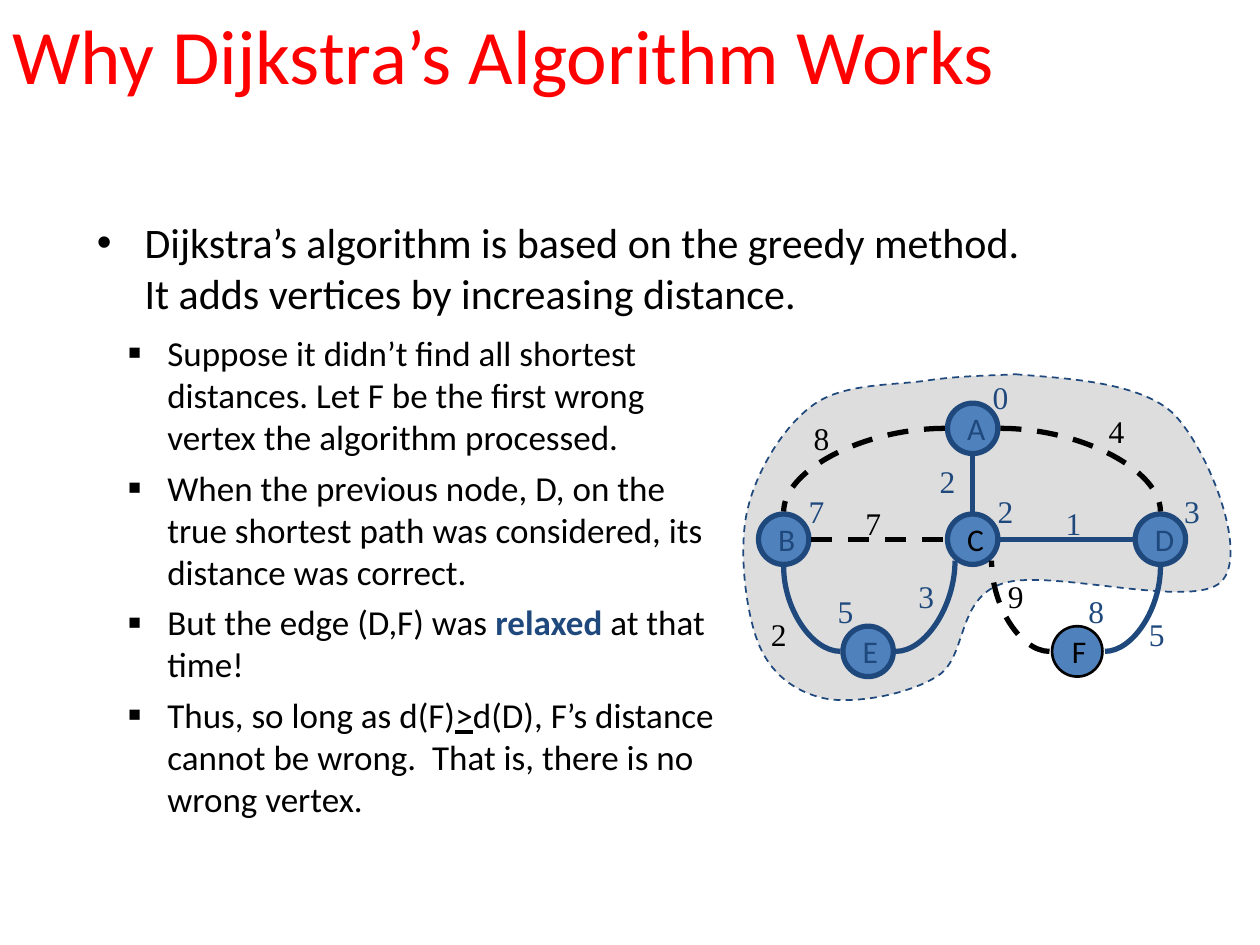
from typing import NamedTuple

import lxml.etree
import pptx
import pptx.dml.color
import pptx.enum.dml
import pptx.enum.shapes
import pptx.enum.text
import pptx.oxml
import pptx.oxml.ns
import pptx.util

Inches = pptx.util.Inches
Pt = pptx.util.Pt
qn = pptx.oxml.ns.qn

COLORS = {"title": "FF0000", "black": "000000", "navy": "1F497D",
          "node": "4F81BD", "cloud": "DDDDDD"}
NODE_SIZE = 0.4
# Offsets from a node's centre to the points where edges attach
PORTS = {"N": (0, -0.22), "S": (0, 0.22), "E": (0.22, 0), "W": (-0.22, 0),
         "SE": (0.15, 0.17), "SW": (-0.14, 0.17)}


class Node(NamedTuple):
    x: float
    y: float
    text_color: str = "navy"
    line_color: str = "navy"
    line_width: float = 3


class Edge(NamedTuple):
    start: str
    start_port: str
    end: str
    end_port: str
    dashed: bool = False
    curved: bool = True


class Label(NamedTuple):
    text: str
    left: float
    top: float
    color: str = "navy"


NODES = {
    "A": Node(7.72, 3.4),
    "B": Node(6.22, 4.28),
    "C": Node(7.72, 4.28, text_color="black"),
    "D": Node(9.21, 4.28),
    "E": Node(6.89, 5.17),
    "F": Node(8.55, 5.17, "black", "black", 1.5),
}
# Curved edges leave their start horizontally and reach their end vertically
EDGES = [
    Edge("A", "W", "B", "N", dashed=True),
    Edge("A", "E", "D", "N", dashed=True),
    Edge("E", "W", "B", "S"),
    Edge("E", "E", "C", "SW"),
    Edge("F", "E", "D", "S"),
    Edge("F", "W", "C", "SE", dashed=True),
    Edge("A", "S", "C", "N", curved=False),
    Edge("B", "E", "C", "W", dashed=True, curved=False),
    Edge("C", "E", "D", "W", curved=False),
]
DISTANCES = [
    Label("0", 7.78, 2.95), Label("7", 6.32, 3.86), Label("2", 7.82, 3.86),
    Label("3", 9.3, 3.86), Label("5", 6.55, 4.65), Label("8", 8.54, 4.65),
]
WEIGHTS = [
    Label("8", 6.36, 3.28, "black"), Label("4", 8.7, 3.22, "black"),
    Label("2", 7.36, 3.62), Label("7", 6.77, 3.95, "black"),
    Label("1", 8.36, 3.95), Label("2", 6.02, 4.83, "black"),
    Label("3", 7.19, 4.53), Label("9", 7.9, 4.53, "black"),
    Label("5", 9.02, 4.83),
]
# Start point, then two control points and an end point per curve
CLOUD = [
    (8.06, 2.97),
    (8.39, 3), (9.05, 3.02), (9.32, 3.29),
    (9.59, 3.57), (9.92, 4.4), (9.69, 4.62),
    (9.46, 4.84), (8.33, 4.51), (7.96, 4.63),
    (7.59, 4.75), (7.68, 5.2), (7.45, 5.36),
    (7.22, 5.51), (6.82, 5.58), (6.58, 5.55),
    (6.35, 5.51), (6.14, 5.38), (6.03, 5.13),
    (5.92, 4.88), (5.86, 4.37), (5.93, 4.06),
    (6, 3.74), (6.22, 3.38), (6.46, 3.21),
    (6.7, 3.04), (7.09, 3.06), (7.36, 3.02),
    (7.62, 2.98), (7.92, 2.98), (8.06, 2.97),
]
REASONS = [
    [("Suppose it didn’t find all shortest distances. Let F be the first wrong "
      "vertex the algorithm processed.", {})],
    [("When the previous node, D, on the true shortest path was considered, "
      "its distance was correct.", {})],
    [("But the edge (D,F) was ", {}), ("relaxed", {"color": "navy", "bold": True}),
     (" at that time!", {})],
    [("Thus, so long as d(F)", {}), (">", {"underline": True}),
     ("d(D), F’s distance cannot be wrong.  That is, there is no wrong vertex.", {})],
]


def rgb(name: str) -> pptx.dml.color.RGBColor:
    return pptx.dml.color.RGBColor.from_string(COLORS[name])


def write(paragraph, text: str, *, size: float = 18, color: str = "black",
          font: str = "Calibri", bold: bool = False, underline: bool = False) -> None:
    run = paragraph.add_run()
    run.text = text
    run.font.name = font
    run.font.size = Pt(size)
    run.font.bold = bold
    run.font.underline = underline
    run.font.color.rgb = rgb(color)


def add_frame(slide, left: float, top: float, width: float, height: float,
              wrap: bool = True):
    box = slide.shapes.add_textbox(Inches(left), Inches(top),
                                   Inches(width), Inches(height))
    box.text_frame.word_wrap = wrap
    return box.text_frame


def set_bullet(paragraph, char: str, margin: float, hang: float,
               before: float, percent: int = 100) -> None:
    paragraph.space_before = Pt(before)
    properties = paragraph._p.get_or_add_pPr()
    properties.set("marL", str(Inches(margin)))
    properties.set("indent", str(-Inches(hang)))
    for tag, attribute, value in (("a:buSzPct", "val", str(percent * 1000)),
                                  ("a:buFont", "typeface", "Arial"),
                                  ("a:buChar", "char", char)):
        lxml.etree.SubElement(properties, qn(tag)).set(attribute, value)


def set_line(line, color: str, width: float, dashed: bool = False) -> None:
    line.color.rgb = rgb(color)
    line.width = Pt(width)
    if dashed:
        line.dash_style = pptx.enum.dml.MSO_LINE.DASH


def draw_cloud(slide) -> None:
    points = [(Inches(x), Inches(y)) for x, y in CLOUD]
    builder = slide.shapes.build_freeform(*points[0])
    builder.add_line_segments(points[1:], close=True)
    cloud = builder.convert_to_shape()
    cloud.shadow.inherit = False
    cloud.fill.solid()
    cloud.fill.fore_color.rgb = rgb("cloud")
    set_line(cloud.line, "navy", 1, dashed=True)
    # Turn every three segments into one Bézier curve
    segments = list(cloud._element.iter(qn("a:lnTo")))
    for first in range(0, len(segments), 3):
        curve = lxml.etree.Element(qn("a:cubicBezTo"))
        segments[first].addprevious(curve)
        for segment in segments[first:first + 3]:
            curve.append(segment[0])
            segment.getparent().remove(segment)


def draw_node(slide, name: str, node: Node) -> None:
    circle = slide.shapes.add_shape(
        pptx.enum.shapes.MSO_SHAPE.OVAL, Inches(node.x - NODE_SIZE / 2),
        Inches(node.y - NODE_SIZE / 2), Inches(NODE_SIZE), Inches(NODE_SIZE))
    circle.shadow.inherit = False
    circle.fill.solid()
    circle.fill.fore_color.rgb = rgb("node")
    set_line(circle.line, node.line_color, node.line_width)
    circle.text_frame.word_wrap = False
    caption = circle.text_frame.paragraphs[0]
    caption.alignment = pptx.enum.text.PP_ALIGN.LEFT
    write(caption, name, color=node.text_color)


def port_position(name: str, port: str) -> tuple[int, int]:
    dx, dy = PORTS[port]
    return Inches(NODES[name].x + dx), Inches(NODES[name].y + dy)


def draw_edge(slide, edge: Edge) -> None:
    kinds = pptx.enum.shapes.MSO_CONNECTOR
    link = slide.shapes.add_connector(
        kinds.CURVE if edge.curved else kinds.STRAIGHT,
        *port_position(edge.start, edge.start_port),
        *port_position(edge.end, edge.end_port))
    set_line(link.line, "black" if edge.dashed else "navy", 3, edge.dashed)
    properties = link._element.spPr
    lxml.etree.SubElement(properties, qn("a:effectLst"))
    if edge.curved:
        properties.find(qn("a:prstGeom")).set("prst", "curvedConnector2")


def draw_label(slide, label: Label) -> None:
    frame = add_frame(slide, label.left, label.top, 0.32, 0.4, wrap=False)
    write(frame.paragraphs[0], label.text, color=label.color, font="Times New Roman")


def main() -> None:
    deck = pptx.Presentation()
    deck.slide_width, deck.slide_height = Inches(10), Inches(7.5)
    slide = deck.slides.add_slide(deck.slide_layouts[6])

    # Title and main statement
    title = add_frame(slide, 0, -0.2, 9, 1.25)
    title.vertical_anchor = pptx.enum.text.MSO_ANCHOR.MIDDLE
    write(title.paragraphs[0], "Why Dijkstra’s Algorithm Works", size=44, color="title")
    statement = add_frame(slide, 0.67, 1.67, 7.67, 1.29).paragraphs[0]
    set_bullet(statement, "•", 0.38, 0.38, before=6)
    write(statement, "Dijkstra’s algorithm is based on the greedy method. "
                     "It adds vertices by increasing distance.", size=24)

    # Graph
    draw_cloud(slide)
    for name, node in NODES.items():
        draw_node(slide, name, node)
    for edge in EDGES:
        draw_edge(slide, edge)
    for label in DISTANCES + WEIGHTS:
        draw_label(slide, label)

    # Reasoning
    reasoning = add_frame(slide, 0.42, 2.58, 5.36, 4.27)
    for index, runs in enumerate(REASONS):
        reason = reasoning.add_paragraph() if index else reasoning.paragraphs[0]
        set_bullet(reason, "■", 0.81, 0.31, before=5, percent=60)
        for text, style in runs:
            write(reason, text, size=20, **style)
    deck.save("out.pptx")


if __name__ == "__main__":
    main()
